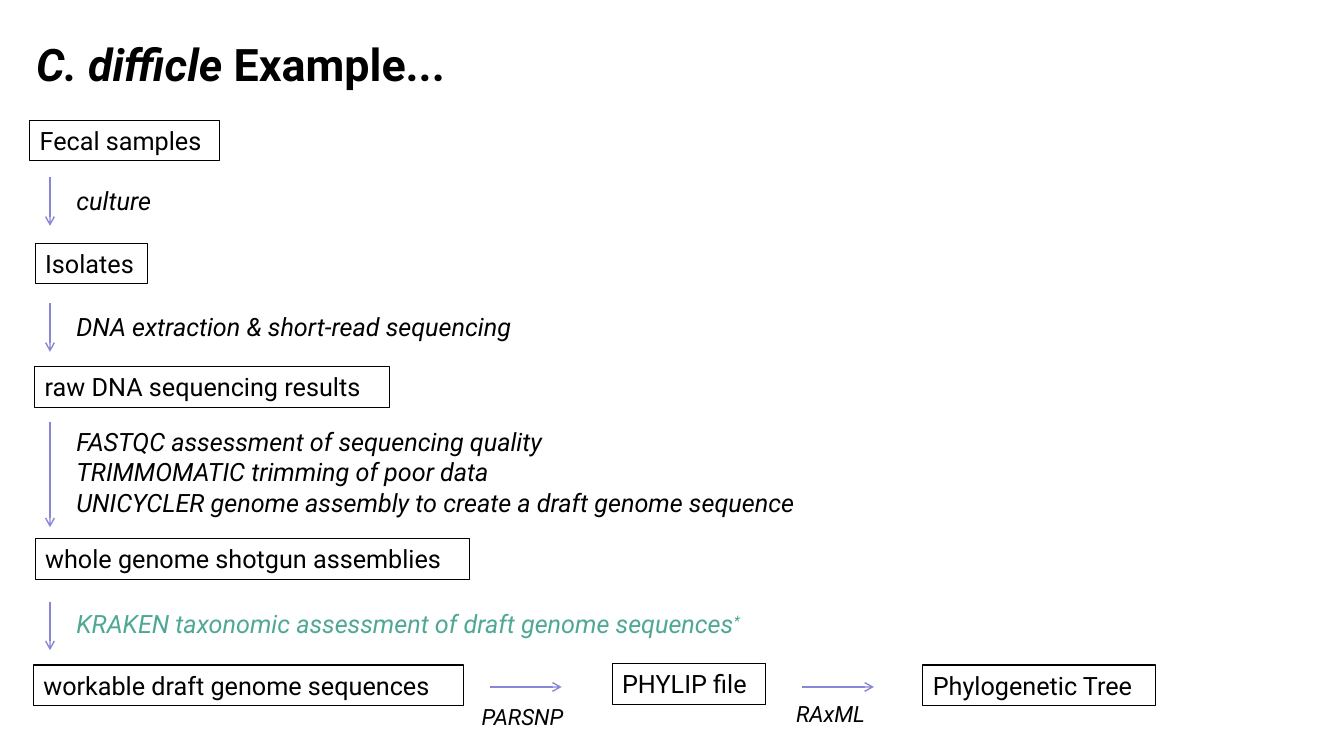
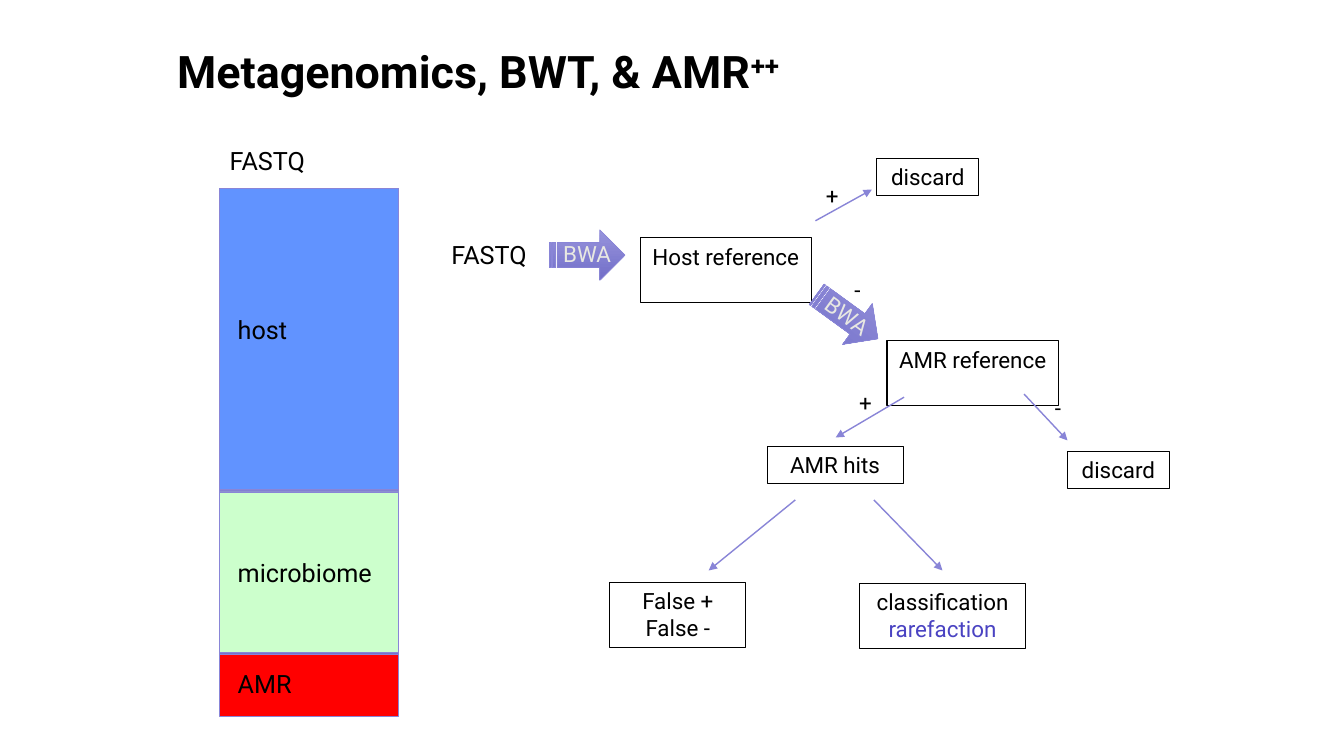
from lxml import etree
from pptx import Presentation
from pptx.dml.color import RGBColor
from pptx.enum import shapes as sh, text as tx
from pptx.oxml import ns
from pptx.util import Pt

INK, EDGE, PALE = "000000", "8985D7", "E8E8E2"
RECT, STRIPE = sh.MSO_SHAPE.RECTANGLE, sh.MSO_SHAPE.STRIPED_RIGHT_ARROW
hue = RGBColor.from_string


def put(page, at, words="", size=18, kind=None, fill=None, line=INK,
        color=INK, bold=False, slant=False, mid=False):
    area = [Pt(v) for v in at]
    if kind is None:
        item = page.shapes.add_textbox(*area)
    else:
        item = page.shapes.add_shape(kind, *area)
        item.shadow.inherit = False
        item.line.color.rgb = hue(line)
        item.line.width = Pt(0.75 if line == INK else 0.5)
        if fill is None:
            item.fill.background()
        elif fill == "fade":
            item.fill.gradient()
            item.fill.gradient_angle = 270
            for stop, tone in zip(item.fill.gradient_stops, ("9794DC", "726EC8")):
                stop.color.rgb = hue(tone)
        else:
            item.fill.solid()
            item.fill.fore_color.rgb = hue(fill)
    if words:
        frame = item.text_frame
        frame.word_wrap = True
        frame.vertical_anchor = tx.MSO_ANCHOR.TOP
        frame.text = words
        for para in frame.paragraphs:
            para.alignment = tx.PP_ALIGN.CENTER if mid else tx.PP_ALIGN.LEFT
            font = para.font
            font.name, font.size = "Roboto", Pt(size)
            font.bold, font.italic = bold, slant
            font.color.rgb = hue(color)
    return item


def link(page, ends, head):
    wire = page.shapes.add_connector(sh.MSO_CONNECTOR.STRAIGHT, *[Pt(v) for v in ends])
    wire.line.color.rgb = hue(EDGE)
    wire.line.width = Pt(1)
    etree.SubElement(wire.line._get_or_add_ln(), ns.qn("a:tailEnd"), type=head)
    etree.SubElement(wire._element.spPr, ns.qn("a:effectLst"))


deck = Presentation()
deck.slide_width, deck.slide_height = Pt(960), Pt(540)
blank = deck.slide_layouts[6]
flow, tree = [deck.slides.add_slide(blank) for _ in range(2)]

title = put(flow, (18.7, 22.4, 577, 45), "C. difficle ", 32, bold=True)
para = title.text_frame.paragraphs[0]
para.runs[0].font.italic = True
para.add_run().text = "Example..."

for words, x, y, w in [
    ("Fecal samples", 21.3, 85.9, 135.6),
    ("Isolates", 25.2, 173.7, 80),
    ("raw DNA sequencing results", 24.9, 262, 253.3),
    ("whole genome shotgun assemblies", 25.2, 384.8, 310.3),
    ("workable draft genome sequences", 23.9, 475, 307),
    ("PHYLIP file", 437.3, 474, 109.6),
    ("Phylogenetic Tree", 659.2, 475, 166.3),
]:
    put(flow, (x, y, w, 29), words, kind=RECT)

for x, y, w, h, size, color, words in [
    (47.5, 129, 90, 29, 18, INK, "culture"),
    (47.5, 219, 340, 29, 18, INK, "DNA extraction & short-read sequencing"),
    (47.5, 301, 573, 73, 18, INK,
     "FASTQC assessment of sequencing quality\n"
     "TRIMMOMATIC trimming of poor data\n"
     "UNICYCLER genome assembly to create a draft genome sequence"),
    (337, 498.5, 80, 26.6, 16, INK, "PARSNP"),
    (561.6, 496.5, 69, 26.6, 16, INK, "RAxML"),
    (47.5, 431, 526, 29, 18, "4EA895",
     "KRAKEN taxonomic assessment of draft genome sequences"),
]:
    note = put(flow, (x, y, w, h), words, size, color=color, slant=True)
star = note.text_frame.paragraphs[0].add_run()
star.text = "*"
star.font._element.set("baseline", "30000")

for top, end in [(126.7, 161.3), (216.7, 251.3), (301.7, 376.6), (429.8, 464.4)]:
    link(flow, (35.7, top, 35.7, end), "arrow")
for x in (350, 573):
    link(flow, (x, 490.7, x + 51.2, 490.7), "arrow")

put(tree, (157, 134.6, 127.4, 376.6), kind=RECT, fill="fade", line=EDGE)
for words, top, tall, y, fill in [
    ("host", 134.6, 215.3, 221, "6193FF"),
    ("microbiome", 351.4, 114.5, 394.6, "CCFFCC"),
    ("AMR", 467.3, 44.6, 473.8, "FF0000"),
]:
    put(tree, (157, top, 127.4, tall), kind=RECT, fill=fill, line=EDGE)
    put(tree, (162.7, y, 120, 29), words)
for x, y in [(157, 100), (315.4, 167.5)]:
    put(tree, (x, y, 80, 29), "FASTQ")

for words, x, y, w, h in [
    ("Host reference", 457.2, 169.9, 122.4, 46.1),
    ("discard", 626.4, 113, 72.7, 26.6),
    ("AMR reference", 633.6, 243.4, 122.4, 46.1),
    ("discard", 762.5, 322.6, 72.7, 26.6),
    ("AMR hits", 547.9, 319, 97.2, 26.6),
    ("False +\nFalse -", 435.6, 416.2, 97.2, 46.1),
    ("classification\nrarefaction", 614.2, 416.9, 118.1, 46.1),
]:
    leaf = put(tree, (x, y, w, h), words, 16, RECT, mid=True)
leaf.text_frame.paragraphs[1].font.color.rgb = hue("4A43C2")

for x, y, turn in [(392.4, 164.2, 0), (578.2, 208.1, 36)]:
    put(tree, (x, y, 54, 36), kind=STRIPE, fill="fade", line=EDGE).rotation = turn
    put(tree, (x - 8, y + 4, 70, 26.6), "BWA", 16, color=PALE, mid=True).rotation = turn

for ends in [
    (582.5, 157.7, 622.8, 135.4),
    (731.5, 281.5, 762.5, 314.6),
    (645.8, 283.7, 596.9, 312.5),
    (568.1, 357.1, 506.2, 407.5),
    (624.2, 357.1, 673.2, 407.5),
]:
    link(tree, ends, "triangle")
for sign, x, y in [("+", 559.4, 126.7), ("+", 583.2, 274.3),
                   ("-", 720.7, 277.9), ("-", 577.4, 193.7)]:
    put(tree, (x, y, 70, 26.6), sign, 16, mid=True)

title = put(tree, (119.5, 27.8, 675, 45), "Metagenomics, BWT, & AMR", 32, bold=True)
plus = title.text_frame.paragraphs[0].add_run()
plus.text = "++"
plus.font._element.set("baseline", "30000")

deck.save("out.pptx")
